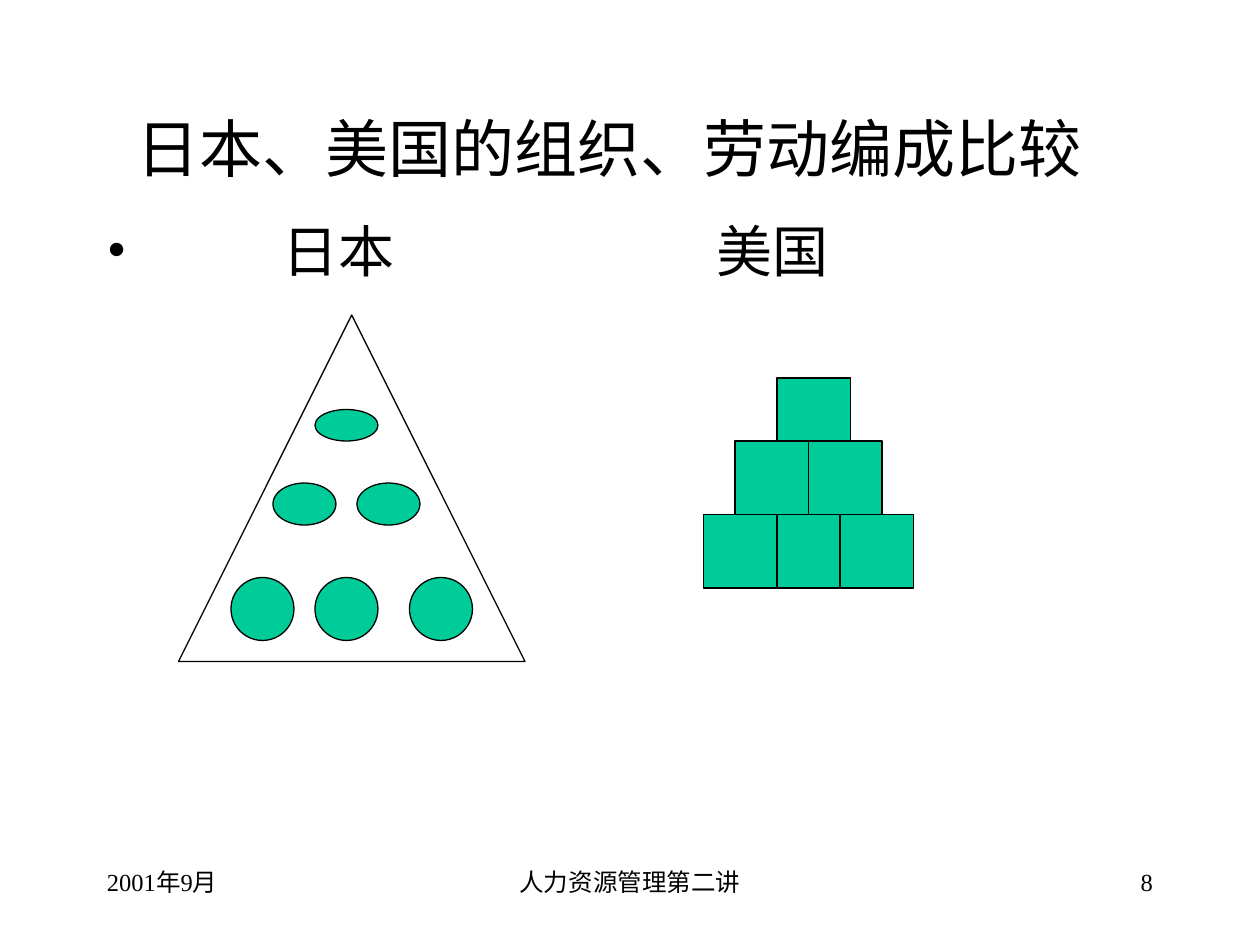
from dataclasses import dataclass
from lxml import etree
from pptx import Presentation
from pptx import util as u
from pptx.dml.color import RGBColor
from pptx.enum import shapes, text
from pptx.oxml import ns

PX = 7620
BLACK = RGBColor(0, 0, 0)
GREEN = RGBColor(0, 204, 153)
FACE = "Times New Roman"
KIND = shapes.MSO_SHAPE
ALIGN = text.PP_ALIGN


@dataclass
class Row:
    kind: int
    top: int
    high: int
    spans: list[tuple[int, int]]


@dataclass
class Note:
    words: str
    left: int
    wide: int
    align: int


ROWS = [
    Row(KIND.OVAL, 390, 30, [(300, 60)]),
    Row(KIND.OVAL, 460, 40, [(260, 60), (340, 60)]),
    Row(KIND.OVAL, 550, 60, [(220, 60), (300, 60), (390, 60)]),
    Row(KIND.RECTANGLE, 360, 60, [(740, 70)]),
    Row(KIND.RECTANGLE, 420, 70, [(700, 70), (770, 70)]),
    Row(KIND.RECTANGLE, 490, 70, [(670, 70), (740, 60), (800, 70)]),
]
NOTES = [
    Note("人力资源管理第二讲", 410, 380, ALIGN.CENTER),
    Note("8", 860, 250, ALIGN.RIGHT),
    Note("2001年9月", 90, 250, ALIGN.LEFT),
]
TABS = [167, 581]


def px(*nums: int) -> list[u.Emu]:
    return [u.Emu(n * PX) for n in nums]


def style(item, words: str, size: int, align: int, anchor: int):
    frame = item.text_frame
    form = {"word_wrap": True, "auto_size": text.MSO_AUTO_SIZE.NONE,
            "vertical_anchor": anchor}
    for key, value in form.items():
        setattr(frame, key, value)
    para = frame.paragraphs[0]
    para.alignment = align
    run = para.add_run()
    run.text = words
    for key, value in {"name": FACE, "size": u.Pt(size)}.items():
        setattr(run.font, key, value)
    run.font.color.rgb = BLACK
    return para


def write(slide, box: list[int], words: str, size: int, align: int):
    item = slide.shapes.add_textbox(*px(*box))
    return style(item, words, size, align, text.MSO_ANCHOR.TOP)


def bullet(para, tabs: list[int]) -> None:
    props = para._p.get_or_add_pPr()
    props.set("marL", str(45 * PX))
    props.set("indent", str(-45 * PX))
    color = etree.SubElement(props, ns.qn("a:buClr"))
    etree.SubElement(color, ns.qn("a:srgbClr"), val=str(BLACK))
    etree.SubElement(props, ns.qn("a:buFont"), typeface=FACE)
    etree.SubElement(props, ns.qn("a:buChar"), char="•")
    stops = etree.SubElement(props, ns.qn("a:tabLst"))
    for tab in tabs:
        etree.SubElement(stops, ns.qn("a:tab"), pos=str(tab * PX), algn="l")


def draw(slide, kind: int, box: list[int], fill: RGBColor | None) -> None:
    item = slide.shapes.add_shape(kind, *px(*box))
    item.shadow.inherit = False
    if fill is None:
        item.fill.background()
    else:
        item.fill.solid()
        item.fill.fore_color.rgb = fill
    item.line.color.rgb = BLACK
    item.line.width = u.Pt(0.75)


def main() -> None:
    deck = Presentation()
    deck.slide_width, deck.slide_height = px(1200, 900)
    slide = deck.slides.add_slide(deck.slide_layouts[5])
    title = slide.shapes.title
    title.left, title.top, title.width, title.height = px(70, 80, 1020, 120)
    style(title, "日本、美国的组织、劳动编成比较", 36, ALIGN.CENTER,
          text.MSO_ANCHOR.MIDDLE)
    para = write(slide, [90, 200, 1020, 600], "\t日本\t美国", 32, ALIGN.LEFT)
    bullet(para, TABS)
    draw(slide, KIND.ISOSCELES_TRIANGLE, [170, 300, 330, 330], None)
    for row in ROWS:
        for left, wide in row.spans:
            draw(slide, row.kind, [left, row.top, wide, row.high], GREEN)
    for note in NOTES:
        write(slide, [note.left, 820, note.wide, 60], note.words, 14,
              note.align)
    deck.save("out.pptx")


if __name__ == "__main__":
    main()
